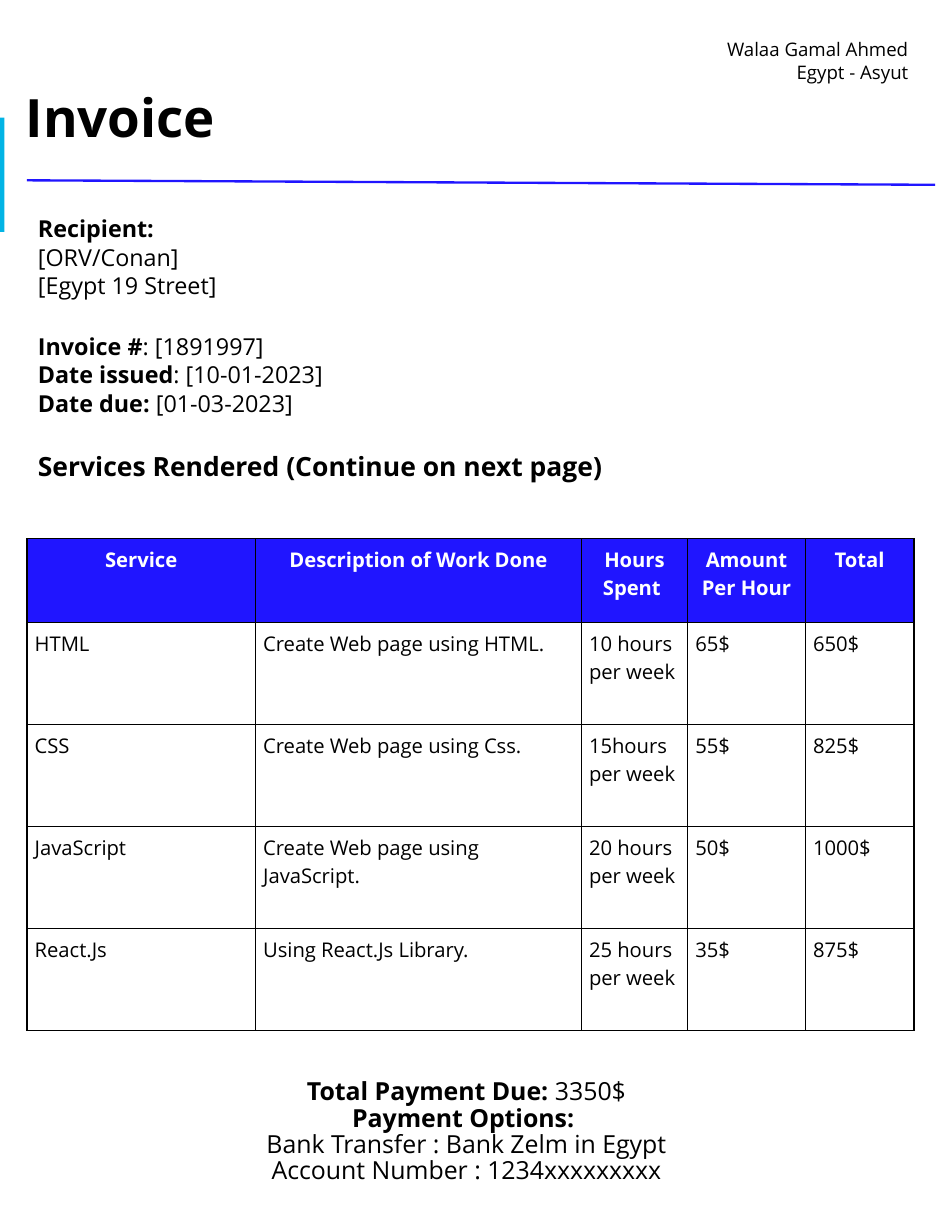
from collections import namedtuple

from lxml import etree
from pptx import Presentation
from pptx import util as u
from pptx.dml.color import RGBColor
from pptx.enum import shapes, text
from pptx.oxml import ns

BLUE = RGBColor(0x20, 0x15, 0xFF)
CYAN = RGBColor(0x02, 0xB4, 0xE5)
BLACK = RGBColor(0, 0, 0)
WHITE = RGBColor(255, 255, 255)
FONT = "Open Sans"
PAGE_WIDTH, PAGE_HEIGHT = u.Inches(8.5), u.Inches(11)
COLUMN, ROW = PAGE_WIDTH / 85, PAGE_HEIGHT / 110
LEFT, RIGHT = text.PP_ALIGN.LEFT, text.PP_ALIGN.RIGHT
CENTER, JUSTIFY = text.PP_ALIGN.CENTER, text.PP_ALIGN.JUSTIFY

Box = namedtuple("Box", "left top width height")

COLUMN_SHARES = [20.4, 29.1, 9.5, 10.5, 9.7]
ROW_SHARES = [7.5, 9.1, 9.1, 9.1, 9.1]
SERVICES = [
    ["Service", "Description of Work Done", "Hours Spent ", "Amount Per Hour", "Total"],
    ["HTML", "Create Web page using HTML.", "10 hours per week", "65$", "650$"],
    ["CSS", "Create Web page using Css.", "15hours per week", "55$", "825$"],
    ["JavaScript", "Create Web page using JavaScript.", "20 hours per week", "50$", "1000$"],
    ["React.Js", "Using React.Js Library.", "25 hours per week", "35$", "875$"],
]


def place(box):
    return (round(box.left * COLUMN), round(box.top * ROW),
            round(box.width * COLUMN), round(box.height * ROW))


def add_span(para, words, size=12, bold=False, color=BLACK):
    span = para.add_run()
    span.text = words
    span.font.name = FONT
    span.font.size = u.Pt(size)
    span.font.bold = bold
    span.font.color.rgb = color


def add_text_box(page, box, lines, spacing, anchor=text.MSO_ANCHOR.TOP):
    frame = page.shapes.add_textbox(*place(box)).text_frame
    frame.word_wrap = True
    frame.vertical_anchor = anchor
    frame.margin_left = frame.margin_right = u.Inches(0.1)
    frame.margin_top = frame.margin_bottom = u.Inches(0.1)
    for index, (label, value, size, align, gap) in enumerate(lines):
        para = frame.paragraphs[0] if index == 0 else frame.add_paragraph()
        para.alignment = align
        para.line_spacing = spacing
        para.space_before = u.Pt(gap)
        if label:
            add_span(para, label, size=size, bold=True)
        if value:
            add_span(para, value, size=size)


def add_accent(page, box):
    bar = page.shapes.add_shape(shapes.MSO_SHAPE.RECTANGLE, *place(box))
    bar.shadow.inherit = False
    bar.fill.solid()
    bar.fill.fore_color.rgb = CYAN
    bar.line.fill.background()


def add_heading(page, box):
    lines = [
        ("", "Walaa Gamal Ahmed", 12, RIGHT, 0),
        ("", "Egypt - Asyut", 12, RIGHT, 0),
        ("Invoice", "", 34, JUSTIFY, 0),
    ]
    add_text_box(page, box, lines, 1.02, anchor=text.MSO_ANCHOR.MIDDLE)


def add_rule(page, box):
    left, top, width, height = place(box)
    rule = page.shapes.add_connector(
        shapes.MSO_CONNECTOR.STRAIGHT, left, top, left + width, top + height)
    rule.line.color.rgb = BLUE
    rule.line.width = u.Pt(1.5)
    etree.SubElement(rule._element.spPr, ns.qn("a:effectLst"))


def add_details(page, box):
    lines = [
        ("Recipient: ", "", 15, JUSTIFY, 0),
        ("", "[ORV/Conan]", 15, LEFT, 0),
        ("", "[Egypt 19 Street]", 15, LEFT, 0),
        ("Invoice #", ": [1891997]", 15, LEFT, 20.6),
        ("Date issued", ": [10-01-2023]", 15, LEFT, 0),
        ("Date due:", " [01-03-2023]", 15, LEFT, 0),
        ("Services Rendered (Continue on next page)", "", 17, LEFT, 20.6),
    ]
    add_text_box(page, box, lines, 1.02)


def add_borders(cell):
    properties = cell._tc.get_or_add_tcPr()
    for index, side in enumerate(["lnL", "lnR", "lnT", "lnB"]):
        edge = etree.Element(ns.qn(f"a:{side}"), w=str(u.Pt(1)))
        fill = etree.SubElement(edge, ns.qn("a:solidFill"))
        etree.SubElement(fill, ns.qn("a:srgbClr"), val=str(BLACK))
        properties.insert(index, edge)


def format_cell(cell, words, header):
    cell.margin_left = cell.margin_right = u.Inches(0.07)
    cell.margin_top = cell.margin_bottom = u.Inches(0.07)
    if header:
        cell.fill.solid()
        cell.fill.fore_color.rgb = BLUE
    else:
        cell.fill.background()
    add_borders(cell)
    para = cell.text_frame.paragraphs[0]
    para.alignment = CENTER if header else LEFT
    add_span(para, words, size=13, bold=header, color=WHITE if header else BLACK)


def add_services(page, box):
    table = page.shapes.add_table(
        len(SERVICES), len(COLUMN_SHARES), *place(box)).table
    table.horz_banding = False
    for column, share in zip(table.columns, COLUMN_SHARES):
        column.width = round(box.width * COLUMN * share / sum(COLUMN_SHARES))
    for row, share in zip(table.rows, ROW_SHARES):
        row.height = round(box.height * ROW * share / sum(ROW_SHARES))
    for row_index, entries in enumerate(SERVICES):
        for column_index, words in enumerate(entries):
            format_cell(table.cell(row_index, column_index), words, row_index == 0)


def add_payment(page, box):
    lines = [
        ("Total Payment Due:", " 3350$", 16, CENTER, 0),
        ("Payment Options: ", "", 16, CENTER, 0),
        ("", "Bank Transfer : Bank Zelm in Egypt", 16, CENTER, 0),
        ("", "Account Number : 1234xxxxxxxxx", 16, CENTER, 0),
    ]
    add_text_box(page, box, lines, 0.88)


def main():
    deck = Presentation()
    deck.slide_width, deck.slide_height = PAGE_WIDTH, PAGE_HEIGHT
    page = deck.slides.add_slide(deck.slide_layouts[6])
    page.background.fill.solid()
    page.background.fill.fore_color.rgb = WHITE
    add_accent(page, Box(0, 10.5, 0.4, 10.2))
    add_heading(page, Box(1.3, 2.2, 80.8, 12.2))
    add_rule(page, Box(2.4, 16.1, 81.1, 0.4))
    add_services(page, Box(2.4, 48.1, 79.2, 43.9))
    add_payment(page, Box(17.1, 95.4, 49.1, 17.5))
    add_details(page, Box(2.4, 18.1, 82.1, 30.9))
    deck.save("out.pptx")


if __name__ == "__main__":
    main()
